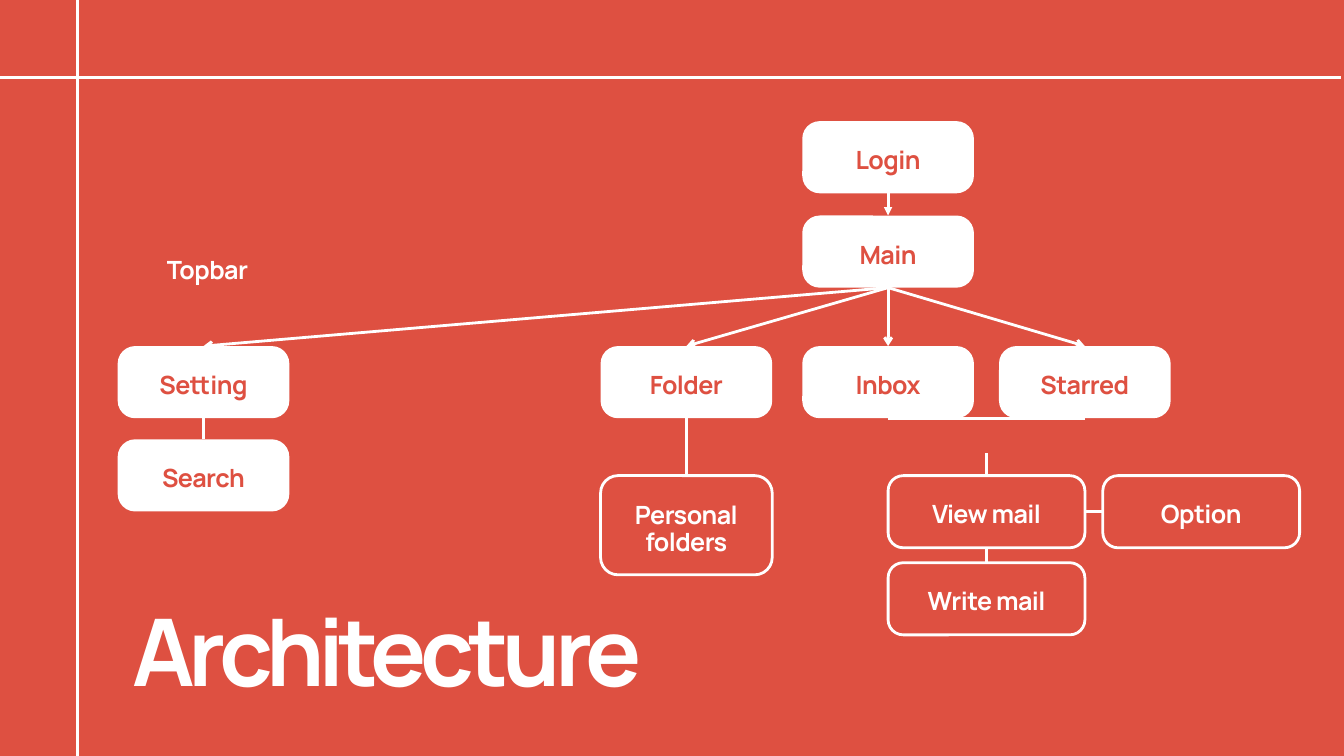
from lxml import etree
from pptx import Presentation
from pptx import util as u
from pptx.dml import color
from pptx.enum import shapes, text
from pptx.oxml import ns

HUE = {"red": "DE5041", "white": "FFFFFF"}
FONT = "Manrope"
WIDE, HIGH = 1440, 810
CARD, PANE = 183.9, 210.9
TALL = 77.3
PAD = 22.5
LEFT, FOLD, MID, STAR = 126.1, 643.5, 859.6, 1070.4
VIEW = MID + CARD / 2

CARDS = [
    ("Login", MID, 129.8),
    ("Main", MID, 230.9),
    ("Setting", LEFT, 370.8),
    ("Search", LEFT, 470.7),
    ("Inbox", MID, 370.8),
    ("Folder", FOLD, 370.8),
    ("Starred", STAR, 370.8),
]
PANES = [
    ("View mail", VIEW, 509.6, PANE, TALL, 16.2),
    ("Write mail", VIEW, 602.9, PANE, TALL, 16.2),
    ("Option", 1181.6, 509.6, PANE, TALL, 16.2),
    ("Personal\nfolders", FOLD, 509.6, CARD, 106.3, 18.7),
]
TOP, WEST, BASE, EAST = range(4)
LINKS = [
    ("Login", BASE, "Main", TOP, "triangle"),
    ("Main", BASE, "Folder", TOP, "arrow"),
    ("Main", BASE, "Inbox", TOP, "arrow"),
    ("Main", BASE, "Starred", TOP, "arrow"),
    ("Main", BASE, "Setting", TOP, "arrow"),
    ("Setting", BASE, "Search", TOP, None),
    ("Folder", BASE, "Personal\nfolders", TOP, None),
    ("View mail", BASE, "Write mail", TOP, None),
    ("View mail", EAST, "Option", WEST, None),
]
RULES = [
    (82.8, HIGH, 82.8, 0),
    (0, 82.8, 1436.4, 82.8),
    (VIEW, 448.1, VIEW + PANE, 448.1),
    (VIEW + PANE / 2, 509.6, VIEW + PANE / 2, 485.3),
]


def rgb(name):
    return color.RGBColor.from_string(HUE[name])


def write(shape, words, size=26.9, lead=29.4, hue="white", track=-60,
          align=text.PP_ALIGN.CENTER, top=0):
    frame = shape.text_frame
    frame.word_wrap = True
    frame.vertical_anchor = text.MSO_ANCHOR.TOP
    frame.margin_left = frame.margin_right = frame.margin_bottom = 0
    frame.margin_top = u.Pt(top)
    for i, line in enumerate(words.split("\n")):
        para = frame.paragraphs[0] if i == 0 else frame.add_paragraph()
        para.alignment = align
        para.line_spacing = u.Pt(lead)
        run = para.add_run()
        run.text = line
        font = run.font
        font.name, font.size, font.bold = FONT, u.Pt(size), True
        font.color.rgb = rgb(hue)
        run._r.get_or_add_rPr().set("spc", str(track))


def label(slide, words, x, y, w, h, **form):
    write(slide.shapes.add_textbox(*map(u.Pt, (x, y, w, h))), words, **form)


def box(slide, words, x, y, w, h, curve, solid):
    shape = slide.shapes.add_shape(
        shapes.MSO_SHAPE.ROUNDED_RECTANGLE, *map(u.Pt, (x, y, w, h)))
    shape.adjustments[0] = curve / min(w, h)
    shape.shadow.inherit = False
    if solid:
        shape.fill.solid()
        shape.fill.fore_color.rgb = rgb("white")
        shape.line.fill.background()
    else:
        shape.fill.background()
        shape.line.color.rgb = rgb("white")
        shape.line.width = u.Pt(3)
    write(shape, words, hue="red" if solid else "white", top=PAD)
    return shape


def rule(slide, ends=(0, 0, 0, 0), head=None):
    line = slide.shapes.add_connector(
        shapes.MSO_CONNECTOR.STRAIGHT, *map(u.Pt, ends))
    line.line.color.rgb = rgb("white")
    line.line.width = u.Pt(3)
    if head:
        etree.SubElement(line.line._get_or_add_ln(), ns.qn("a:tailEnd"),
                         type=head)
    etree.SubElement(line._element.spPr, ns.qn("a:effectLst"))
    return line


def main():
    deck = Presentation()
    deck.slide_width, deck.slide_height = u.Pt(WIDE), u.Pt(HIGH)
    slide = deck.slides.add_slide(deck.slide_layouts[6])
    back = slide.background.fill
    back.solid()
    back.fore_color.rgb = rgb("red")

    for ends in RULES:
        rule(slide, ends)
    label(slide, "Architecture", 141.8, 671.8, 701.3, 101.5, size=100,
          lead=84, track=-650, align=text.PP_ALIGN.LEFT)
    label(slide, "Topbar", 130.3, 275.8, CARD, 32.4)

    nodes = {}
    for name, x, y in CARDS:
        nodes[name] = box(slide, name, x, y, CARD, TALL, 18.7, True)
    for name, *spot in PANES:
        nodes[name] = box(slide, name, *spot, False)
    for start, out, end, into, head in LINKS:
        line = rule(slide, head=head)
        line.begin_connect(nodes[start], out)
        line.end_connect(nodes[end], into)

    deck.save("out.pptx")


if __name__ == "__main__":
    main()
